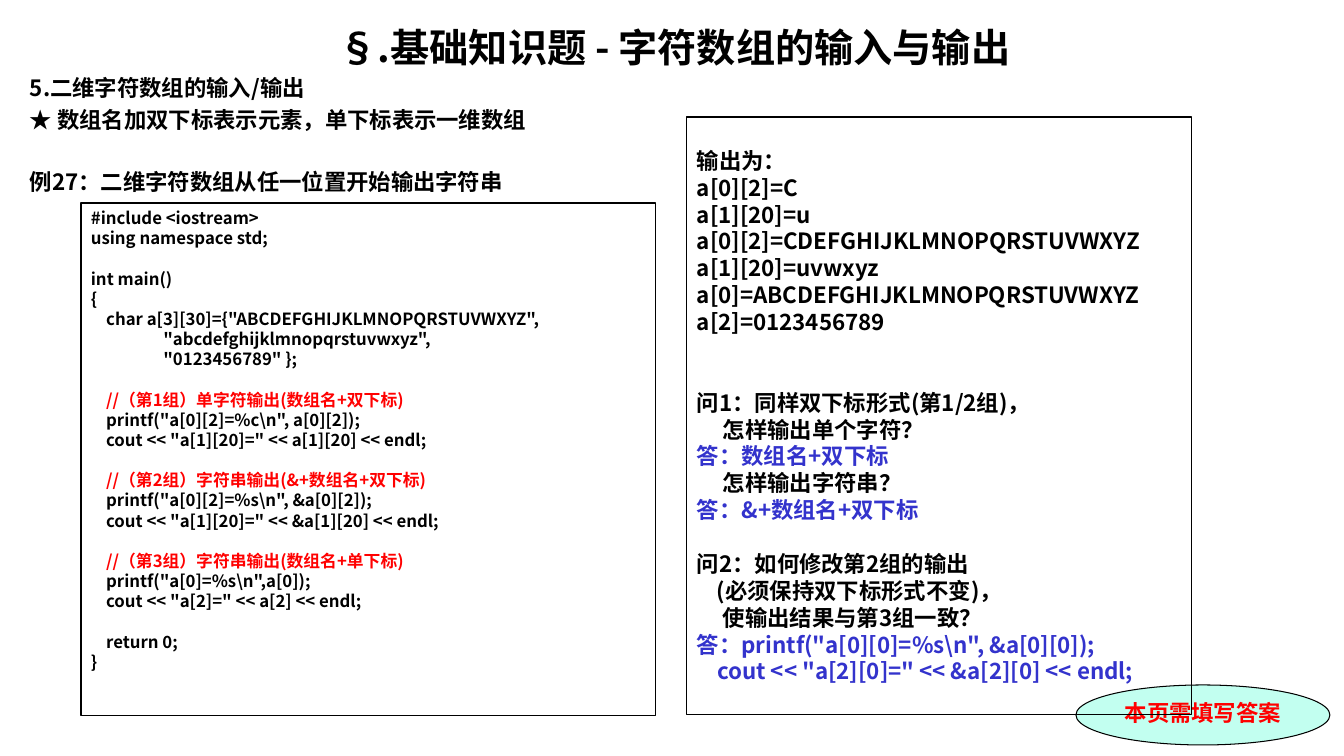
"""Build the slide on input and output of two-dimensional character arrays."""
from lxml.etree import SubElement
from pptx import Presentation
from pptx.dml.color import RGBColor
from pptx.enum.shapes import MSO_SHAPE as SHAPE
from pptx.enum.text import MSO_ANCHOR as ANCHOR, PP_ALIGN as ALIGN
from pptx.oxml.ns import qn
from pptx.util import Emu, Pt

COLORS = {"black": "000000", "red": "FF0000", "blue": "3333CC", "mint": "C2FFF0"}
SANS = "Noto Sans CJK SC"
LINE_HEIGHT = 1.2


def px(length):
    return Emu(round(length * 914400 / 100.8))


def write(frame, lines, size=16, latin=SANS, align=ALIGN.LEFT, rise=0.0):
    """Fill a frame with (text, colour, indent) lines; an empty text is a gap."""
    frame.word_wrap = True
    frame.vertical_anchor = ANCHOR.TOP
    paragraph, gaps = None, 0
    for text, color, indent in lines:
        if not text:
            gaps += 1
            continue
        first = paragraph is None
        paragraph = frame.paragraphs[0] if first else frame.add_paragraph()
        paragraph.text = text
        paragraph.alignment = align
        paragraph.line_spacing = Pt(size * LINE_HEIGHT)
        if not first:
            paragraph.space_before = Pt(size * (rise + gaps * (LINE_HEIGHT + rise)))
        if indent:
            paragraph._p.get_or_add_pPr().set("marL", str(px(indent)))
        font = paragraph.font
        font.size, font.bold, font.name = Pt(size), True, latin
        font.color.rgb = RGBColor.from_string(COLORS[color])
        SubElement(font._rPr, qn("a:ea")).set("typeface", SANS)
        gaps = 0


prs = Presentation()
prs.slide_width, prs.slide_height = px(1344), px(756)
slide = prs.slides.add_slide(prs.slide_layouts[6])

intro = slide.shapes.add_textbox(px(20), px(18), px(1309), px(715)).text_frame
write(intro, [
    ("§.基础知识题 - 字符数组的输入与输出", "black", 0),
    ("5.二维字符数组的输入/输出", "black", 0),
    ("★ 数组名加双下标表示元素，单下标表示一维数组", "black", 0),
    ("", "black", 0),
    ("例27：二维字符数组从任一位置开始输出字符串", "black", 0),
], rise=0.2)
title = intro.paragraphs[0]
title.alignment = ALIGN.CENTER
title.font.size, title.line_spacing = Pt(28), Pt(28 * LINE_HEIGHT)

frames = []
for preset, fill, left, top, width, height in [
    (SHAPE.OVAL, "mint", 1076, 685, 254, 60),
    (SHAPE.RECTANGLE, None, 81, 203, 575, 513),
    (SHAPE.RECTANGLE, None, 687, 117, 505, 598),
]:
    panel = slide.shapes.add_shape(preset, px(left), px(top), px(width), px(height))
    panel.shadow.inherit = False
    if fill:
        panel.fill.solid()
        panel.fill.fore_color.rgb = RGBColor.from_string(COLORS[fill])
    else:
        panel.fill.background()
    panel.line.color.rgb = RGBColor.from_string(COLORS["black"])
    panel.line.width = Pt(0.75)
    frames.append(panel.text_frame)
reminder, program, answers = frames

reminder.margin_left = reminder.margin_right = 0
write(reminder, [("本页需填写答案", "red", 0)], latin="Times New Roman", align=ALIGN.CENTER)

CODE = r'''#include <iostream>
using namespace std;

int main()
{
    char a[3][30]={"ABCDEFGHIJKLMNOPQRSTUVWXYZ",
                   "abcdefghijklmnopqrstuvwxyz",
                   "0123456789" };

    //（第1组）单字符输出(数组名+双下标)
    printf("a[0][2]=%c\n", a[0][2]);
    cout << "a[1][20]=" << a[1][20] << endl;

    //（第2组）字符串输出(&+数组名+双下标)
    printf("a[0][2]=%s\n", &a[0][2]);
    cout << "a[1][20]=" << &a[1][20] << endl;

    //（第3组）字符串输出(数组名+单下标)
    printf("a[0]=%s\n",a[0]);
    cout << "a[2]=" << a[2] << endl;

    return 0;
}'''
write(program, [(line, "red" if "//" in line else "black", 0)
                for line in CODE.split("\n")], size=12)

answers.margin_top = px(30)
write(answers, [
    ("输出为：", "black", 0),
    ("a[0][2]=C", "black", 0),
    ("a[1][20]=u", "black", 0),
    ("a[0][2]=CDEFGHIJKLMNOPQRSTUVWXYZ", "black", 0),
    ("a[1][20]=uvwxyz", "black", 0),
    ("a[0]=ABCDEFGHIJKLMNOPQRSTUVWXYZ", "black", 0),
    ("a[2]=0123456789", "black", 0),
    ("", "black", 0),
    ("", "black", 0),
    ("问1：同样双下标形式(第1/2组)，", "black", 0),
    ("怎样输出单个字符？", "black", 26),
    ("答：数组名+双下标", "blue", 0),
    ("怎样输出字符串？", "black", 26),
    ("答：&+数组名+双下标", "blue", 0),
    ("", "black", 0),
    ("问2：如何修改第2组的输出", "black", 0),
    ("(必须保持双下标形式不变)，", "black", 20),
    ("使输出结果与第3组一致？", "black", 26),
    (r'答：printf("a[0][0]=%s\n", &a[0][0]);', "blue", 0),
    ('    cout << "a[2][0]=" << &a[2][0] << endl;', "blue", 0),
])

prs.save("out.pptx")
